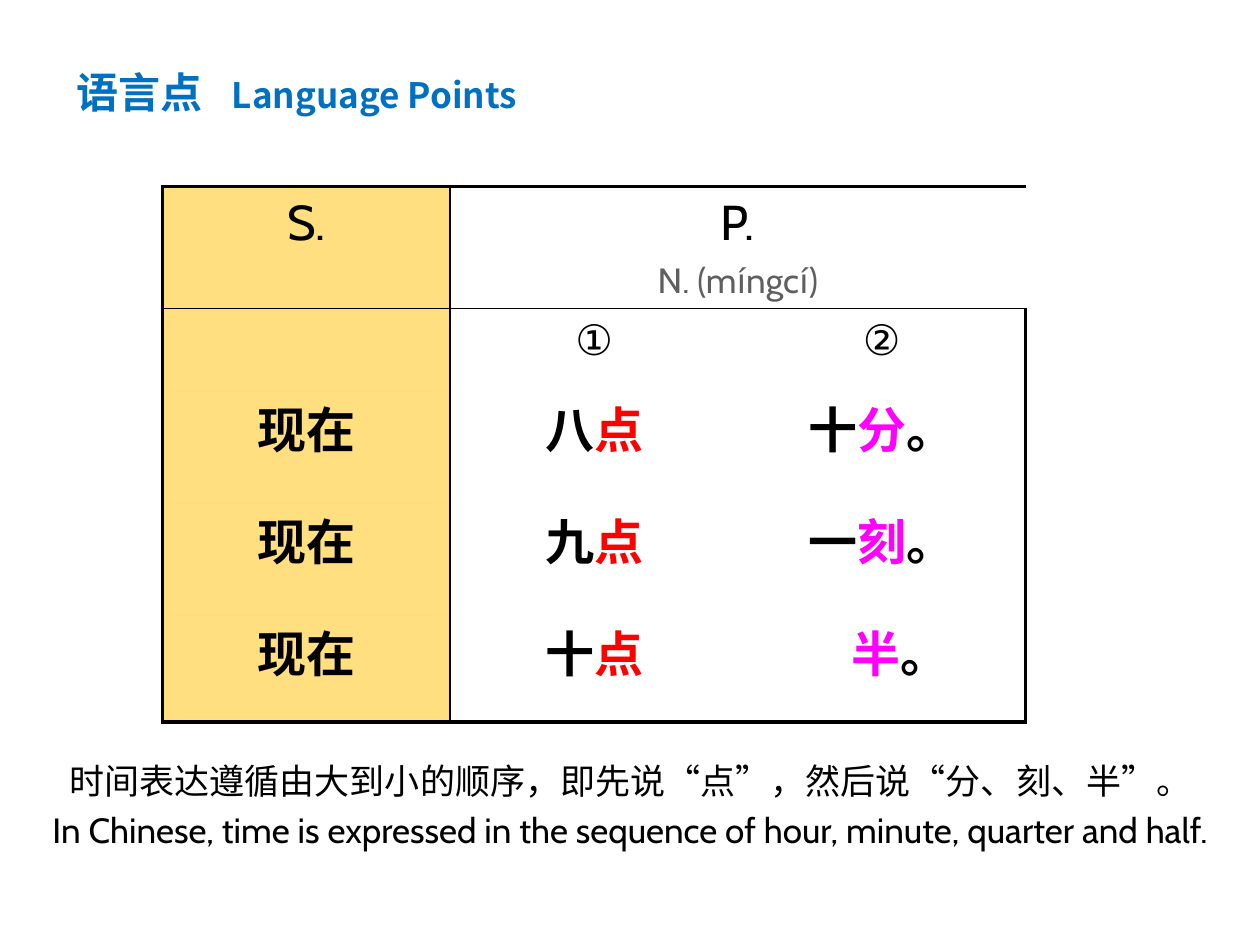
from lxml.etree import SubElement
from pptx import Presentation
from pptx.dml.color import RGBColor
from pptx.enum.text import MSO_ANCHOR, MSO_AUTO_SIZE, PP_ALIGN
from pptx.oxml.ns import qn
from pptx.util import Inches, Pt

COLORS = {"ink": "000000", "title": "0070C0", "note": "5F5F5F",
          "hour": "FF0000", "minute": "FF00FF", "subject": "FFC000"}
LATIN, CHINESE, ACCENT = "Cabin", "Noto Sans CJK SC", "Arial"
PLAIN_TABLE = "{2D5ABB26-0587-4C30-8999-92F81FD0307C}"
THICK, THIN = 2.25, 1


def add_span(para, text, size=28, color="ink", bold=False, font=LATIN):
    """Append formatted text to a paragraph."""
    span = para.add_run()
    span.text = text
    span.font.size = Pt(size)
    span.font.bold = bold
    span.font.name = font
    span.font.color.rgb = RGBColor.from_string(COLORS[color])
    SubElement(span.font._element, qn("a:ea"), typeface=CHINESE)


def set_border(cell, side, width):
    """Draw one cell edge, or clear it when the width is zero."""
    properties = cell._tc.get_or_add_tcPr()
    line = SubElement(properties, qn(f"a:ln{side}"), w=str(Pt(width)))
    if width:
        fill = SubElement(line, qn("a:solidFill"))
        SubElement(fill, qn("a:srgbClr"), val=COLORS["ink"])
    else:
        SubElement(line, qn("a:noFill"))


class LessonPage:
    """Builds the elements of a lesson slide in one style."""

    def __init__(self, deck):
        self.page = deck.slides.add_slide(deck.slide_layouts[5])

    def fill_lines(self, frame, lines):
        """Fill a text frame with centred lines of formatted spans."""
        for index, spans in enumerate(lines):
            para = frame.add_paragraph() if index else frame.paragraphs[0]
            para.alignment = PP_ALIGN.CENTER
            if index:
                para.space_before = Pt(4)
            for text, style in spans:
                add_span(para, text, **style)

    def title(self, chinese, english):
        """Place the two-language title."""
        box = self.page.shapes.title
        box.left, box.top = Inches(0.51), Inches(0.48)
        box.width, box.height = Inches(6.69), Inches(0.5)
        frame = box.text_frame
        frame.auto_size = MSO_AUTO_SIZE.NONE
        frame.vertical_anchor = MSO_ANCHOR.MIDDLE
        para = frame.paragraphs[0]
        para.alignment = PP_ALIGN.LEFT
        tabs = SubElement(para._p.get_or_add_pPr(), qn("a:tabLst"))
        SubElement(tabs, qn("a:tab"), pos=str(Inches(1.23)), algn="l")
        style = {"color": "title", "bold": True, "font": CHINESE}
        add_span(para, chinese + "\t", size=24, **style)
        add_span(para, english, size=20, **style)

    def table(self, rows, heights):
        """Place the sentence pattern table."""
        last_row, last_column = len(rows) - 1, len(rows[0]) - 1
        table = self.page.shapes.add_table(
            len(rows), len(rows[0]), Inches(1.29), Inches(1.48),
            Inches(6.85), Inches(sum(heights))).table
        table.first_row = table.horz_banding = False
        table._tbl.tblPr.find(qn("a:tableStyleId")).text = PLAIN_TABLE
        for row, height in zip(table.rows, heights):
            row.height = Inches(height)
        for r, row in enumerate(rows):
            for c, lines in enumerate(row):
                cell = table.cell(r, c)
                set_border(cell, "L", {0: THICK, 1: THIN}.get(c, 0))
                set_border(cell, "R", {0: THIN, last_column: THICK}.get(c, 0))
                set_border(cell, "T", {0: THICK, 1: THIN}.get(r, 0))
                set_border(cell, "B", {0: THIN, last_row: THICK}.get(r, 0))
                if c == 0:
                    cell.fill.solid()
                    cell.fill.fore_color.rgb = RGBColor.from_string(COLORS["subject"])
                    tint = cell._tc.tcPr.find(qn("a:solidFill"))[0]
                    SubElement(tint, qn("a:alpha"), val="50000")
                else:
                    cell.fill.background()
                self.fill_lines(cell.text_frame, lines)
        table.cell(0, 1).merge(table.cell(0, 2))
        return table

    def caption(self, *texts):
        """Place the explanation under the table."""
        box = self.page.shapes.add_textbox(
            Inches(-1.16), Inches(5.98), Inches(12.33), Inches(0.84))
        box.text_frame.word_wrap = True
        self.fill_lines(box.text_frame, [[(text, {"size": 20})] for text in texts])


def main():
    """Build the language points slide."""
    deck = Presentation()
    deck.slide_width, deck.slide_height = Inches(10), Inches(7.5)
    lesson = LessonPage(deck)
    lesson.title("语言点", "Language Points")

    note = {"size": 20, "color": "note"}
    accent = {**note, "font": ACCENT}
    strong = {"bold": True}
    hour = {"bold": True, "color": "hour"}
    minute = {"bold": True, "color": "minute"}
    noun = [("N. (m", note), ("í", accent), ("ngc", note), ("í", accent), (")", note)]
    rows = [[[[("S.", {})]], [[("P.", {})], noun], []],
            [[], [[("①", {"size": 24})]], [[("②", {"size": 24})]]]]
    for number, count, unit in (("八", "十", "分"), ("九", "一", "刻"), ("十", "", "半")):
        ending = [(count, strong)] if count else []
        rows.append([[[("现在", strong)]],
                     [[(number, strong), ("点", hour)]],
                     [ending + [(unit, minute), ("。", strong)]]])
    table = lesson.table(rows, [0.97, 0.61, 0.89, 0.89, 0.89])
    half = table.cell(4, 2).text_frame.paragraphs[0]
    half._p.get_or_add_pPr().set("marL", str(Inches(0.29)))

    lesson.caption(
        "时间表达遵循由大到小的顺序，即先说“点”，然后说“分、刻、半”。",
        "In Chinese, time is expressed in the sequence of hour, minute, quarter and half.")
    deck.save("out.pptx")


if __name__ == "__main__":
    main()
